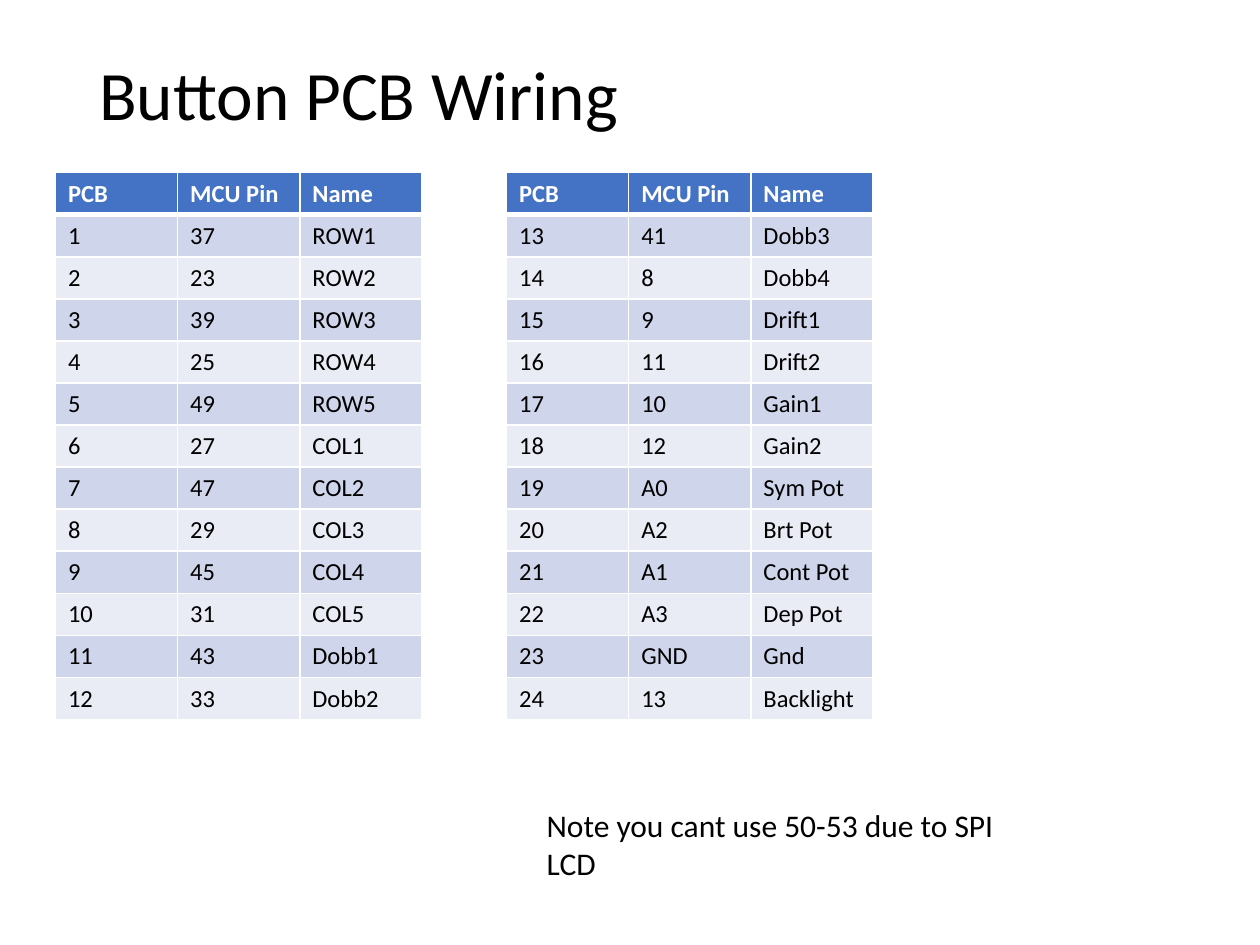
from typing import NamedTuple

from lxml import etree
from pptx import Presentation
from pptx.dml.color import RGBColor
from pptx.enum import text
from pptx.oxml import ns
from pptx.util import Inches, Pt

FONT = "Calibri"
BLACK = RGBColor(0x00, 0x00, 0x00)
WHITE = RGBColor(0xFF, 0xFF, 0xFF)
HEADER_BLUE = RGBColor(0x44, 0x72, 0xC4)
BAND_DARK = RGBColor(0xCF, 0xD5, 0xEA)
BAND_LIGHT = RGBColor(0xE9, 0xEB, 0xF5)

HEADINGS = ("PCB", "MCU Pin", "Name")
TABLE_TOP = 1.37
TABLE_HEIGHT = 4.33
COLUMN_WIDTH = 0.97
ROW_HEIGHT = 0.29
THIN, THICK = 1, 3


class Pin(NamedTuple):
    mcu_pin: str
    name: str


class PinTable(NamedTuple):
    left: float
    first_pin: int
    pins: list[Pin]


class Label(NamedTuple):
    wording: str
    left: float
    top: float
    width: float
    height: float
    size: float
    anchor: text.MSO_ANCHOR
    line_spacing: float


PIN_TABLES = [
    PinTable(0.44, 1, [
        Pin("37", "ROW1"), Pin("23", "ROW2"), Pin("39", "ROW3"),
        Pin("25", "ROW4"), Pin("49", "ROW5"), Pin("27", "COL1"),
        Pin("47", "COL2"), Pin("29", "COL3"), Pin("45", "COL4"),
        Pin("31", "COL5"), Pin("43", "Dobb1"), Pin("33", "Dobb2"),
    ]),
    PinTable(4.02, 13, [
        Pin("41", "Dobb3"), Pin("8", "Dobb4"), Pin("9", "Drift1"),
        Pin("11", "Drift2"), Pin("10", "Gain1"), Pin("12", "Gain2"),
        Pin("A0", "Sym Pot"), Pin("A2", "Brt Pot"), Pin("A1", "Cont Pot"),
        Pin("A3", "Dep Pot"), Pin("GND", "Gnd"), Pin("13", "Backlight"),
    ]),
]

LABELS = [
    Label("Button PCB Wiring", 0.69, 0.4, 8.62, 0.75, 39.6,
          text.MSO_ANCHOR.MIDDLE, 0.9),
    Label("Note you cant use 50-53 due to SPI LCD", 4.24, 6.35, 3.75, 0.71, 18,
          text.MSO_ANCHOR.TOP, 1.0),
]


def format_text(frame, size: float, color: RGBColor, bold: bool = False) -> None:
    for paragraph in frame.paragraphs:
        for run in paragraph.runs:
            run.font.name = FONT
            run.font.size = Pt(size)
            run.font.bold = bold
            run.font.color.rgb = color


def add_label(slide, label: Label) -> None:
    box = slide.shapes.add_textbox(Inches(label.left), Inches(label.top),
                                   Inches(label.width), Inches(label.height))
    frame = box.text_frame
    frame.word_wrap = True
    frame.vertical_anchor = label.anchor
    frame.text = label.wording
    frame.paragraphs[0].line_spacing = label.line_spacing
    format_text(frame, label.size, BLACK)


def add_borders(cell, top: float, bottom: float) -> None:
    """Draw white cell borders; must run before the cell gets its fill."""
    properties = cell._tc.get_or_add_tcPr()
    widths = {"a:lnL": THIN, "a:lnR": THIN, "a:lnT": top, "a:lnB": bottom}
    for tag, width in widths.items():
        line = etree.SubElement(properties, ns.qn(tag), w=str(Pt(width)))
        fill = etree.SubElement(line, ns.qn("a:solidFill"))
        etree.SubElement(fill, ns.qn("a:srgbClr"), val=str(WHITE))


def fill_cell(cell, wording: str, row: int) -> None:
    is_header = row == 0
    add_borders(cell, top=THICK if row == 1 else THIN,
                bottom=THICK if is_header else THIN)
    band = BAND_DARK if row % 2 else BAND_LIGHT
    cell.fill.solid()
    cell.fill.fore_color.rgb = HEADER_BLUE if is_header else band
    cell.text_frame.text = wording
    format_text(cell.text_frame, 14, WHITE if is_header else BLACK, is_header)


def add_pin_table(slide, pin_table: PinTable) -> None:
    numbered = enumerate(pin_table.pins, pin_table.first_pin)
    rows = [HEADINGS] + [(str(number), *pin) for number, pin in numbered]
    frame = slide.shapes.add_table(
        len(rows), len(HEADINGS), Inches(pin_table.left), Inches(TABLE_TOP),
        Inches(COLUMN_WIDTH * len(HEADINGS)), Inches(TABLE_HEIGHT))
    table = frame.table
    for column in table.columns:
        column.width = Inches(COLUMN_WIDTH)
    for row, wordings in enumerate(rows):
        table.rows[row].height = Inches(ROW_HEIGHT)
        for column, wording in enumerate(wordings):
            fill_cell(table.cell(row, column), wording, row)
    frame.height = Inches(TABLE_HEIGHT)


def main() -> None:
    presentation = Presentation()
    presentation.slide_width = Inches(10)
    presentation.slide_height = Inches(7.5)
    slide = presentation.slides.add_slide(presentation.slide_layouts[6])
    title, note = LABELS
    add_label(slide, title)
    for pin_table in PIN_TABLES:
        add_pin_table(slide, pin_table)
    add_label(slide, note)
    presentation.save("out.pptx")


if __name__ == "__main__":
    main()
